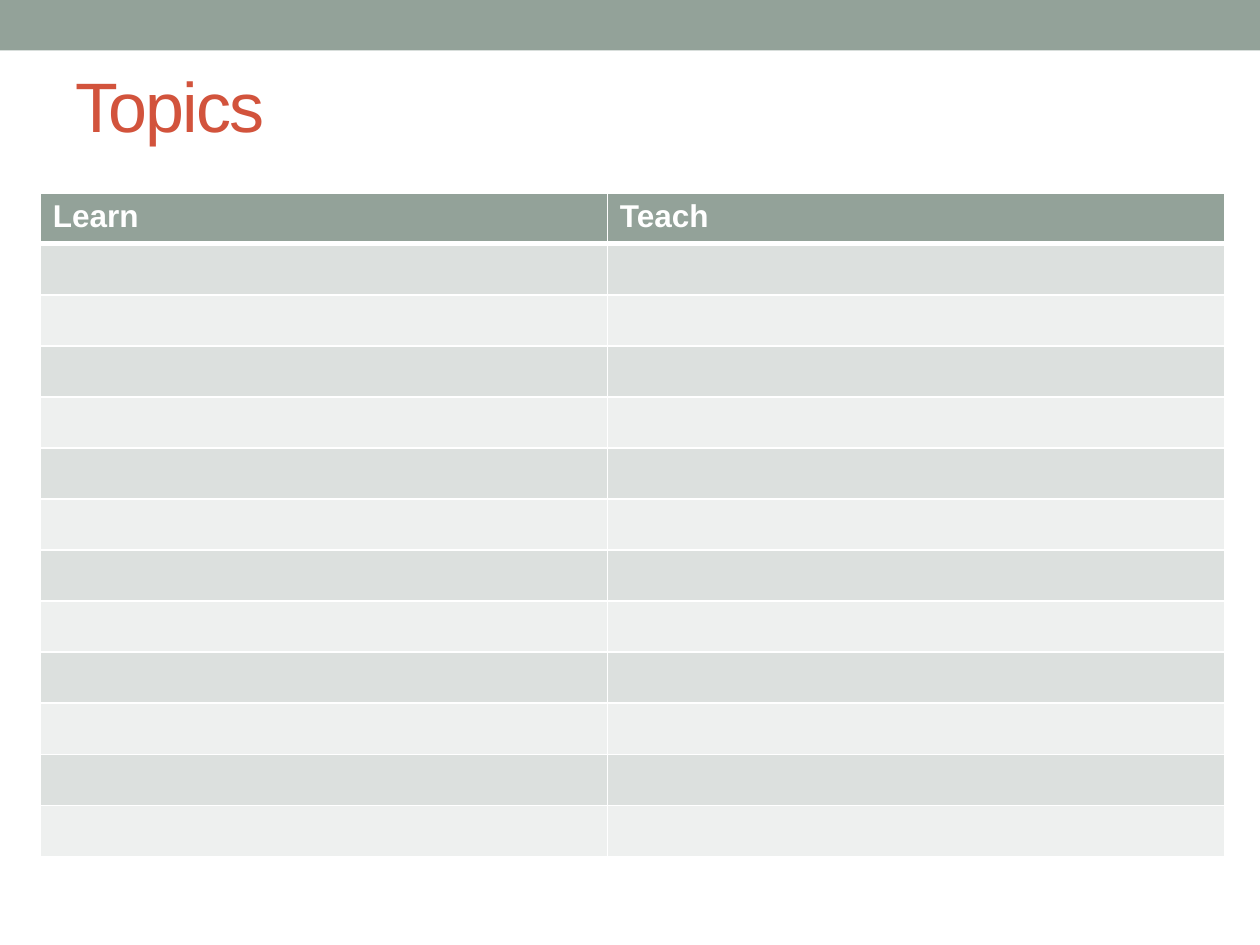
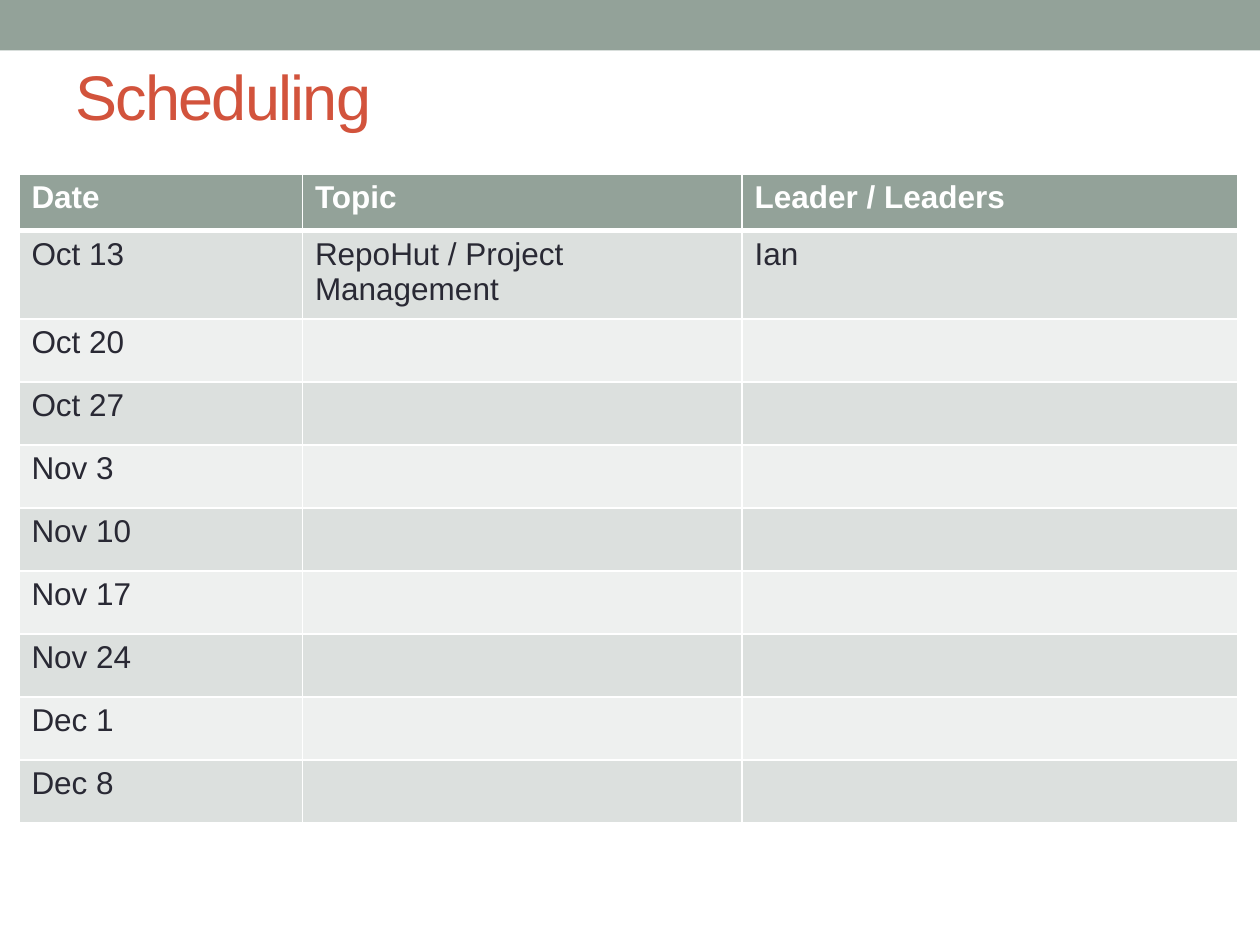
from itertools import zip_longest

from lxml.etree import SubElement
from pptx import Presentation
from pptx.dml.color import RGBColor
from pptx.enum.shapes import MSO_SHAPE
from pptx.enum.text import MSO_ANCHOR
from pptx.oxml.ns import qn
from pptx.util import Inches, Pt

# Shared look
SAGE, RUST, INK, WHITE = "93A299", "D2533C", "292934", "FFFFFF"
BANDS = ("DCE0DE", "EEF0EF")
FONT = "Arial"
SLIDE_WIDTH, SLIDE_HEIGHT = 10, 7.5

TITLE_FORMAT = {"name": FONT, "bold": False}
HEADER_FORMAT = {"name": FONT, "size": Pt(18), "bold": True}
BODY_FORMAT = {"name": FONT, "size": Pt(18), "bold": False}

# Slide content
TOPIC_HEADERS = ("Learn", "Teach")
TOPIC_ROWS = [()] * 12
SCHEDULE_HEADERS = ("Date", "Topic", "Leader / Leaders")
SCHEDULE_ROWS = [("Oct 13", "RepoHut / Project Management", "Ian")] + [
    (date,) for date in ("Oct 20", "Oct 27", "Nov 3", "Nov 10",
                         "Nov 17", "Nov 24", "Dec 1", "Dec 8")
]


def color(value):
    return RGBColor.from_string(value)


def paint(target, value):
    target.fill.solid()
    target.fill.fore_color.rgb = color(value)


def write(text_frame, text, text_color, font_format):
    run = text_frame.paragraphs[0].add_run()
    run.text = text
    run.font.color.rgb = color(text_color)
    for name, value in font_format.items():
        setattr(run.font, name, value)
    return run


def add_slide(presentation):
    """Blank slide with the band along its top edge."""
    slide = presentation.slides.add_slide(presentation.slide_layouts[6])
    paint(slide.background, WHITE)
    band = slide.shapes.add_shape(
        MSO_SHAPE.RECTANGLE, 0, 0, Inches(SLIDE_WIDTH), Inches(0.4))
    band.shadow.inherit = False
    band.line.fill.background()
    paint(band, SAGE)
    return slide


def add_title(slide, text, top, height, size):
    box = slide.shapes.add_textbox(
        Inches(0.5), Inches(top), Inches(9), Inches(height))
    box.text_frame.word_wrap = True
    box.text_frame.vertical_anchor = MSO_ANCHOR.MIDDLE
    run = write(box.text_frame, text, RUST, {**TITLE_FORMAT, "size": Pt(size)})
    run.font._element.set("spc", "-100")


def set_borders(cell, top, bottom):
    """White borders; they precede the fill in the cell properties."""
    properties = cell._tc.get_or_add_tcPr()
    for side, width in (("L", 1), ("R", 1), ("T", top), ("B", bottom)):
        line = SubElement(properties, qn(f"a:ln{side}"), w=str(Pt(width)))
        fill = SubElement(line, qn("a:solidFill"))
        SubElement(fill, qn("a:srgbClr"), val=WHITE)


def add_banded_table(slide, left, top, widths, heights, headers, rows):
    shape = slide.shapes.add_table(
        len(heights), len(widths), Inches(left), Inches(top),
        Inches(sum(widths)), Inches(sum(heights)))
    table = shape.table
    for column, width in zip(table.columns, widths):
        column.width = Inches(width)
    for row, height in zip(table.rows, heights):
        row.height = Inches(height)

    for index, texts in enumerate([headers, *rows]):
        is_header = index == 0
        fill = SAGE if is_header else BANDS[(index - 1) % 2]
        text_color = WHITE if is_header else INK
        font_format = HEADER_FORMAT if is_header else BODY_FORMAT
        for cell, text in zip_longest(table.rows[index].cells, texts):
            # A thick rule parts the header from the body
            set_borders(cell, top=3 if index == 1 else 1,
                        bottom=3 if is_header else 1)
            paint(cell, fill)
            if text:
                write(cell.text_frame, text, text_color, font_format)


def main():
    presentation = Presentation()
    presentation.slide_width = Inches(SLIDE_WIDTH)
    presentation.slide_height = Inches(SLIDE_HEIGHT)

    # Topics
    slide = add_slide(presentation)
    add_title(slide, "Topics", 0.29, 1.08, 40)
    add_banded_table(slide, 0.32, 1.53, (4.5, 4.9), [5.27 / 13] * 13,
                     TOPIC_HEADERS, TOPIC_ROWS)

    # Scheduling
    slide = add_slide(presentation)
    add_title(slide, "Scheduling", 0.42, 0.68, 36)
    add_banded_table(slide, 0.15, 1.38, (2.25, 3.49, 3.93),
                     [0.45, 0.46] + [0.5] * 8,
                     SCHEDULE_HEADERS, SCHEDULE_ROWS)

    presentation.save("out.pptx")


main()
